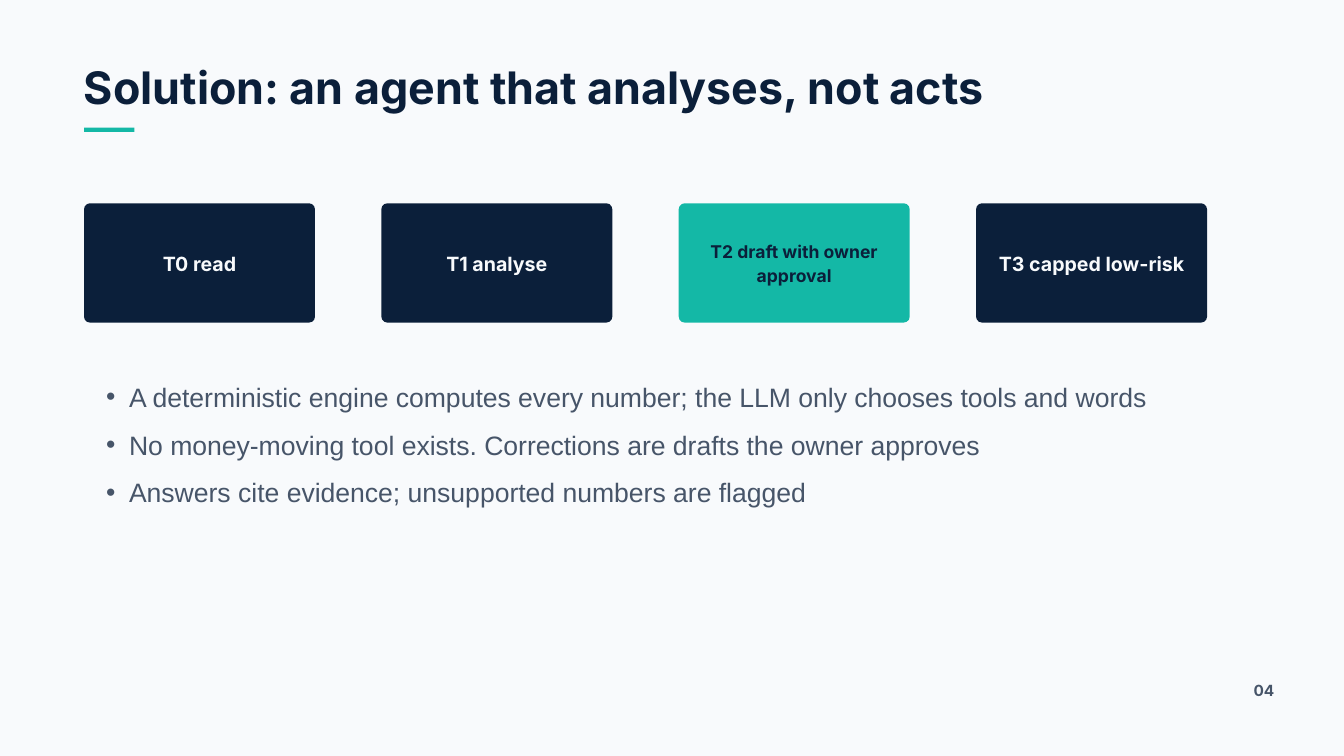
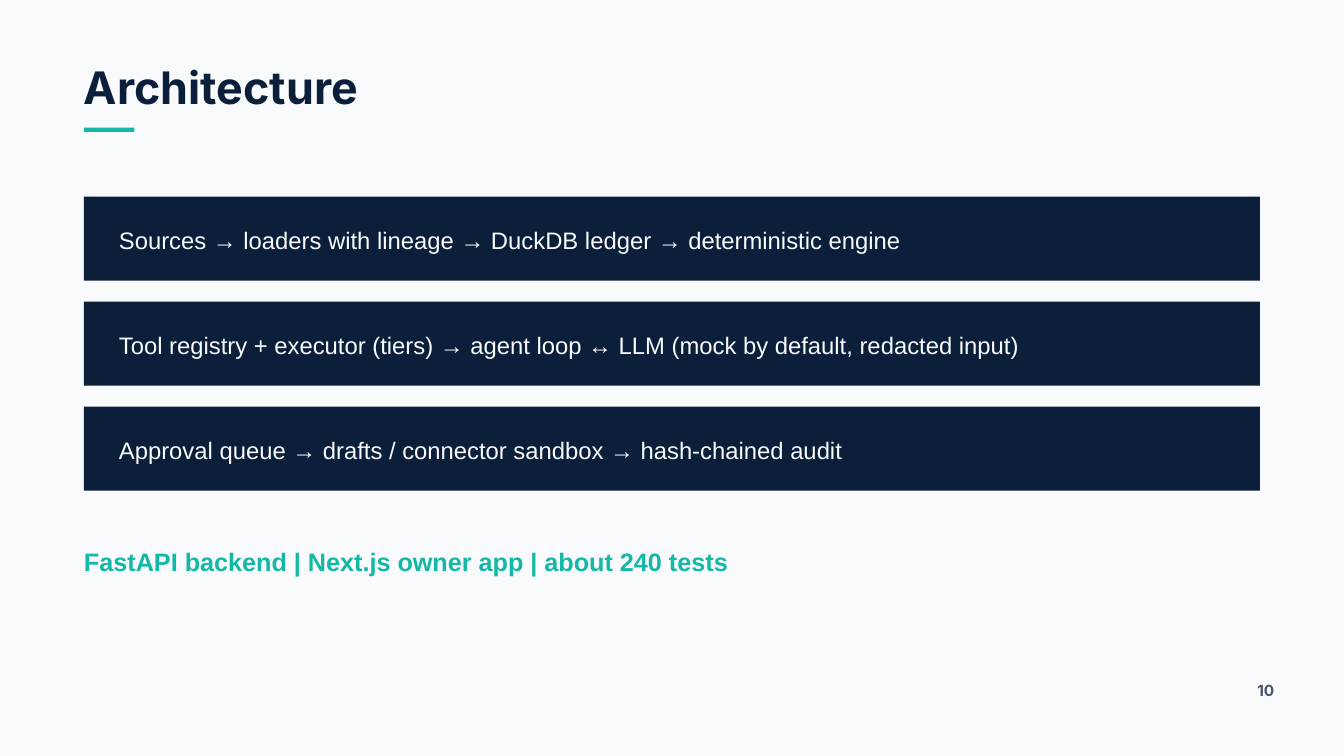
from dataclasses import dataclass

from lxml import etree
from pptx import Presentation
from pptx.dml.color import RGBColor
from pptx.enum import shapes, text
from pptx.oxml import ns
from pptx.util import Inches, Pt

NAVY = RGBColor(0x0B, 0x1F, 0x3A)
TEAL = RGBColor(0x14, 0xB8, 0xA6)
SLATE = RGBColor(0x47, 0x55, 0x69)
PAPER = RGBColor(0xF8, 0xFA, 0xFC)
HEADING_FONT, BODY_FONT = "Inter", "Arial"

# The slide is a grid of 16 columns by 9 rows with square cells.
CELL = 1.25
COLUMNS, ROWS = 16, 9


@dataclass
class Box:
    """A region measured in columns and rows of the slide grid."""
    left: float
    top: float
    width: float
    height: float

    def inside(self, left, top, width, height):
        return Box(self.left + left, self.top + top, width, height)

    def lengths(self):
        return [Inches(CELL * cells)
                for cells in (self.left, self.top, self.width, self.height)]


HEADER = Box(1, 0.77, 12.5, 0.8)
PAGE_NUMBER = Box(14.58, 8.07, 0.59, 0.26)


def write(shape, lines, *, size, color, spacing, font=BODY_FONT, bold=False,
          align=text.PP_ALIGN.LEFT, anchor=text.MSO_ANCHOR.TOP,
          insets=(0, 0, 0, 0), bullet=None):
    """Fill a shape with one paragraph per line; insets are in inches."""
    frame = shape.text_frame
    frame.word_wrap = True
    frame.vertical_anchor = anchor
    (frame.margin_left, frame.margin_top,
     frame.margin_right, frame.margin_bottom) = map(Inches, insets)
    for index, line in enumerate(lines):
        paragraph = frame.paragraphs[0] if index == 0 else frame.add_paragraph()
        paragraph.alignment = align
        paragraph.line_spacing = Pt(spacing)
        if bullet:
            add_bullet(paragraph, bullet)
        run = paragraph.add_run()
        run.text = line
        run.font.name = font
        run.font.size = Pt(size)
        run.font.bold = bold
        run.font.color.rgb = color


def add_bullet(paragraph, character):
    properties = paragraph._p.get_or_add_pPr()
    properties.set("marL", str(Inches(0.67)))
    properties.set("indent", str(Inches(-0.34)))
    etree.SubElement(properties, ns.qn("a:buFont")).set("typeface", BODY_FONT)
    etree.SubElement(properties, ns.qn("a:buChar")).set("char", character)


def add_text(slide, box, *lines, **style):
    write(slide.shapes.add_textbox(*box.lengths()), lines, **style)


def add_block(slide, box, fill, kind=shapes.MSO_SHAPE.RECTANGLE):
    block = slide.shapes.add_shape(kind, *box.lengths())
    block.shadow.inherit = False
    block.fill.solid()
    block.fill.fore_color.rgb = fill
    block.line.fill.background()
    return block


def add_base_slide(presentation, title, number):
    """Add a slide with the shared background, title, accent and page number."""
    slide = presentation.slides.add_slide(presentation.slide_layouts[6])
    slide.background.fill.solid()
    slide.background.fill.fore_color.rgb = PAPER
    add_text(slide, HEADER.inside(0, 0, HEADER.width, 0.59), title,
             size=48, color=NAVY, spacing=51.8, font=HEADING_FONT, bold=True)
    add_block(slide, HEADER.inside(0, 0.75, 0.6, 0.05), TEAL)
    add_text(slide, PAGE_NUMBER, f"{number:02}", size=16.5, color=SLATE,
             spacing=23.1, font=HEADING_FONT, bold=True,
             align=text.PP_ALIGN.RIGHT)
    return slide


def add_tiers(slide, box, tiers, highlighted):
    """Spread equal cards across the box, with one in the accent colour."""
    card_width = 2.75
    pitch = (box.width - card_width) / (len(tiers) - 1)
    for index, tier in enumerate(tiers):
        accent = index == highlighted
        card = add_block(slide,
                         box.inside(index * pitch, 0, card_width, box.height),
                         TEAL if accent else NAVY,
                         shapes.MSO_SHAPE.ROUNDED_RECTANGLE)
        card.adjustments[0] = 0.05
        size = 18.8 if accent else 21
        write(card, [tier], size=size, color=NAVY if accent else PAPER,
              spacing=size * 1.4, font=HEADING_FONT, bold=True,
              align=text.PP_ALIGN.CENTER, anchor=text.MSO_ANCHOR.MIDDLE,
              insets=(0.06, 0.06, 0.06, 0.09))


def add_layers(slide, box, layers):
    """Stack full-width bands, with gaps a quarter of a band high."""
    band_height = box.height / (len(layers) * 1.25 - 0.25)
    for index, layer in enumerate(layers):
        band = add_block(slide,
                         box.inside(0, index * band_height * 1.25,
                                    box.width, band_height), NAVY)
        write(band, [layer], size=25.5, color=PAPER, spacing=35.7,
              anchor=text.MSO_ANCHOR.MIDDLE, insets=(0.52, 0, 0.52, 0.03))


def build_solution(presentation):
    slide = add_base_slide(
        presentation, "Solution: an agent that analyses, not acts", 4)
    add_tiers(slide, Box(1, 2.42, 13.37, 1.42),
              ["T0 read", "T1 analyse", "T2 draft with owner approval",
               "T3 capped low-risk"], highlighted=2)
    add_text(slide, Box(1, 4.34, 13.34, 1.67),
             "A deterministic engine computes every number; "
             "the LLM only chooses tools and words",
             "No money-moving tool exists. "
             "Corrections are drafts the owner approves",
             "Answers cite evidence; unsupported numbers are flagged",
             size=28.5, color=SLATE, spacing=51.3, bullet="•")


def build_architecture(presentation):
    slide = add_base_slide(presentation, "Architecture", 10)
    add_layers(slide, Box(1, 2.34, 14, 3.5), [
        "Sources → loaders with lineage → DuckDB ledger → deterministic engine",
        "Tool registry + executor (tiers) → agent loop ↔ "
        "LLM (mock by default, redacted input)",
        "Approval queue → drafts / connector sandbox → hash-chained audit",
    ])
    add_text(slide, Box(1, 6.44, 14, 0.42),
             "FastAPI backend | Next.js owner app | about 240 tests",
             size=27, color=TEAL, spacing=37.8, bold=True)


def main():
    presentation = Presentation()
    presentation.slide_width = Inches(CELL * COLUMNS)
    presentation.slide_height = Inches(CELL * ROWS)
    build_solution(presentation)
    build_architecture(presentation)
    presentation.save("out.pptx")


if __name__ == "__main__":
    main()
